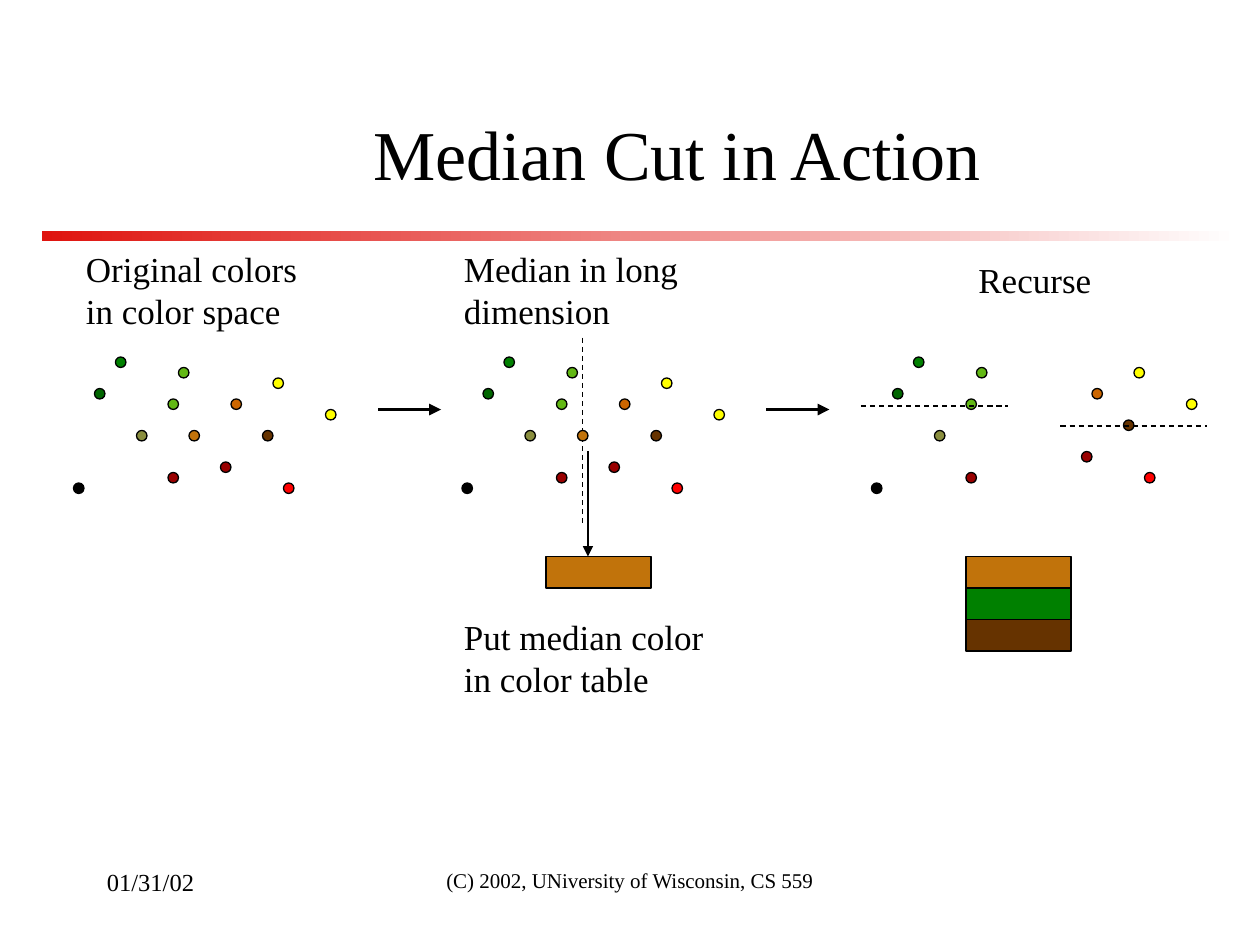
from lxml import etree
from pptx import Presentation
from pptx.dml.color import RGBColor
from pptx.enum import dml, shapes, text
from pptx.oxml import ns
from pptx.util import Pt

FONT = "Times New Roman"
BLACK = RGBColor(0x00, 0x00, 0x00)
WHITE = RGBColor(0xFF, 0xFF, 0xFF)
RULE_RED = RGBColor(0xDF, 0x14, 0x0F)
GREEN = RGBColor(0x00, 0x80, 0x00)
DARK_GREEN = RGBColor(0x00, 0x66, 0x00)
LIME = RGBColor(0x62, 0xB8, 0x14)
OLIVE = RGBColor(0x8A, 0x8E, 0x3E)
OCHRE = RGBColor(0xC1, 0x73, 0x0B)
RUST = RGBColor(0xCC, 0x66, 0x00)
BROWN = RGBColor(0x66, 0x33, 0x00)
MAROON = RGBColor(0x99, 0x00, 0x00)
RED = RGBColor(0xFF, 0x00, 0x00)
YELLOW = RGBColor(0xFF, 0xFF, 0x00)

THIN, THICK = 0.74, 2.24
DOT = 6
SWATCH_W, SWATCH_H = 60, 18

# Dots in colour space: x and y from the corner of the cloud, colour
LEFT_HALF = [(24, 0, GREEN), (36, 42, OLIVE), (60, 6, LIME), (0, 72, BLACK),
             (12, 18, DARK_GREEN), (54, 24, LIME), (54, 66, MAROON)]
MEDIAN = [(66, 42, OCHRE)]
RIGHT_HALF = [(114, 12, YELLOW), (108, 42, BROWN), (84, 60, MAROON),
              (120, 72, RED), (90, 24, RUST), (144, 30, YELLOW)]
ALL_DOTS = LEFT_HALF + MEDIAN + RIGHT_HALF


def add_run(p, content, size):
    r = p.add_run()
    r.text = content
    r.font.name, r.font.size = FONT, Pt(size)
    r.font.color.rgb = BLACK


def add_label(s, x, y, w, h, content, size=20, align=text.PP_ALIGN.LEFT):
    tf = s.shapes.add_textbox(Pt(x), Pt(y), Pt(w), Pt(h)).text_frame
    tf.word_wrap = True
    p = tf.paragraphs[0]
    p.alignment = align
    add_run(p, content, size)


def add_filled(s, kind, x, y, w, h, color):
    sp = s.shapes.add_shape(kind, Pt(x), Pt(y), Pt(w), Pt(h))
    sp.shadow.inherit = False
    sp.fill.solid()
    sp.fill.fore_color.rgb = color
    sp.line.color.rgb = BLACK
    sp.line.width = Pt(THIN)


def add_line(s, x1, y1, x2, y2, width=THIN, dashed=False, arrow=False):
    c = s.shapes.add_connector(shapes.MSO_CONNECTOR.STRAIGHT,
                               Pt(x1), Pt(y1), Pt(x2), Pt(y2))
    c.line.color.rgb = BLACK
    c.line.width = Pt(width)
    if dashed:
        c.line.dash_style = dml.MSO_LINE.DASH
    if arrow:
        etree.SubElement(c.line._get_or_add_ln(), ns.qn("a:tailEnd"), type="triangle")
    etree.SubElement(c._element.spPr, ns.qn("a:effectLst"))


def add_cloud(s, x, y, dots):
    for dx, dy, color in dots:
        add_filled(s, shapes.MSO_SHAPE.OVAL, x + dx, y + dy, DOT, DOT, color)


def add_color_table(s, x, y, colors):
    for i, color in enumerate(colors):
        add_filled(s, shapes.MSO_SHAPE.RECTANGLE, x, y + i * SWATCH_H,
                   SWATCH_W, SWATCH_H, color)


def add_header(s, x, y):
    title = s.shapes.title
    title.left, title.top, title.width, title.height = Pt(x + 72), Pt(y), Pt(582), Pt(78)
    tf = title.text_frame
    tf.vertical_anchor = text.MSO_ANCHOR.MIDDLE
    p = tf.paragraphs[0]
    p.alignment = text.PP_ALIGN.CENTER
    add_run(p, "Median Cut in Action", 40)
    # Fading rule under the title
    rule = s.shapes.add_shape(shapes.MSO_SHAPE.RECTANGLE,
                              Pt(x), Pt(y + 84), Pt(684), Pt(6))
    rule.shadow.inherit = False
    rule.line.fill.background()
    rule.fill.gradient()
    rule.fill.gradient_angle = 0
    for stop, color in zip(rule.fill.gradient_stops, (RULE_RED, WHITE)):
        stop.color.rgb = color


def add_original_panel(s, x, y):
    add_label(s, x, y, 150, 55.5, "Original colors in color space")
    add_cloud(s, x, y + 66, ALL_DOTS)


def add_median_panel(s, x, y):
    add_label(s, x, y, 150, 55.5, "Median in long dimension")
    add_line(s, x + 75, y + 55, x + 75, y + 163, dashed=True)
    add_cloud(s, x + 6, y + 66, ALL_DOTS)
    # Median goes into the colour table
    add_line(s, x + 78, y + 120, x + 78, y + 180, arrow=True)
    add_color_table(s, x + 54, y + 180, [OCHRE])
    add_label(s, x, y + 210, 162, 55.5, "Put median color in color table")


def add_recurse_panel(s, x, y):
    add_label(s, x + 60, y + 6, 84, 31.5, "Recurse")
    add_cloud(s, x + 6, y + 66, LEFT_HALF)
    add_cloud(s, x + 42, y + 60, RIGHT_HALF)
    # Second cuts, one in each half
    for dx, dy in ((0, 94), (114, 105.5)):
        add_line(s, x + dx, y + dy, x + dx + 84, y + dy, dashed=True)
    add_color_table(s, x + 60, y + 180, [OCHRE, GREEN, BROWN])


def add_footer(s, x, y):
    add_label(s, x, y, 150, 36, "01/31/02", 14)
    add_label(s, x + 192, y, 228, 36, "(C) 2002, UNiversity of Wisconsin, CS 559",
              12, text.PP_ALIGN.CENTER)


prs = Presentation()
prs.slide_width, prs.slide_height = Pt(720), Pt(540)
s = prs.slides.add_slide(prs.slide_layouts[5])

add_header(s, 24, 48)
add_original_panel(s, 42, 138)
add_median_panel(s, 258, 138)
add_recurse_panel(s, 492, 138)
# Arrows between the panels
for x in (216, 438):
    add_line(s, x, 234, x + 36, 234, THICK, arrow=True)
add_footer(s, 54, 492)

prs.save("out.pptx")
